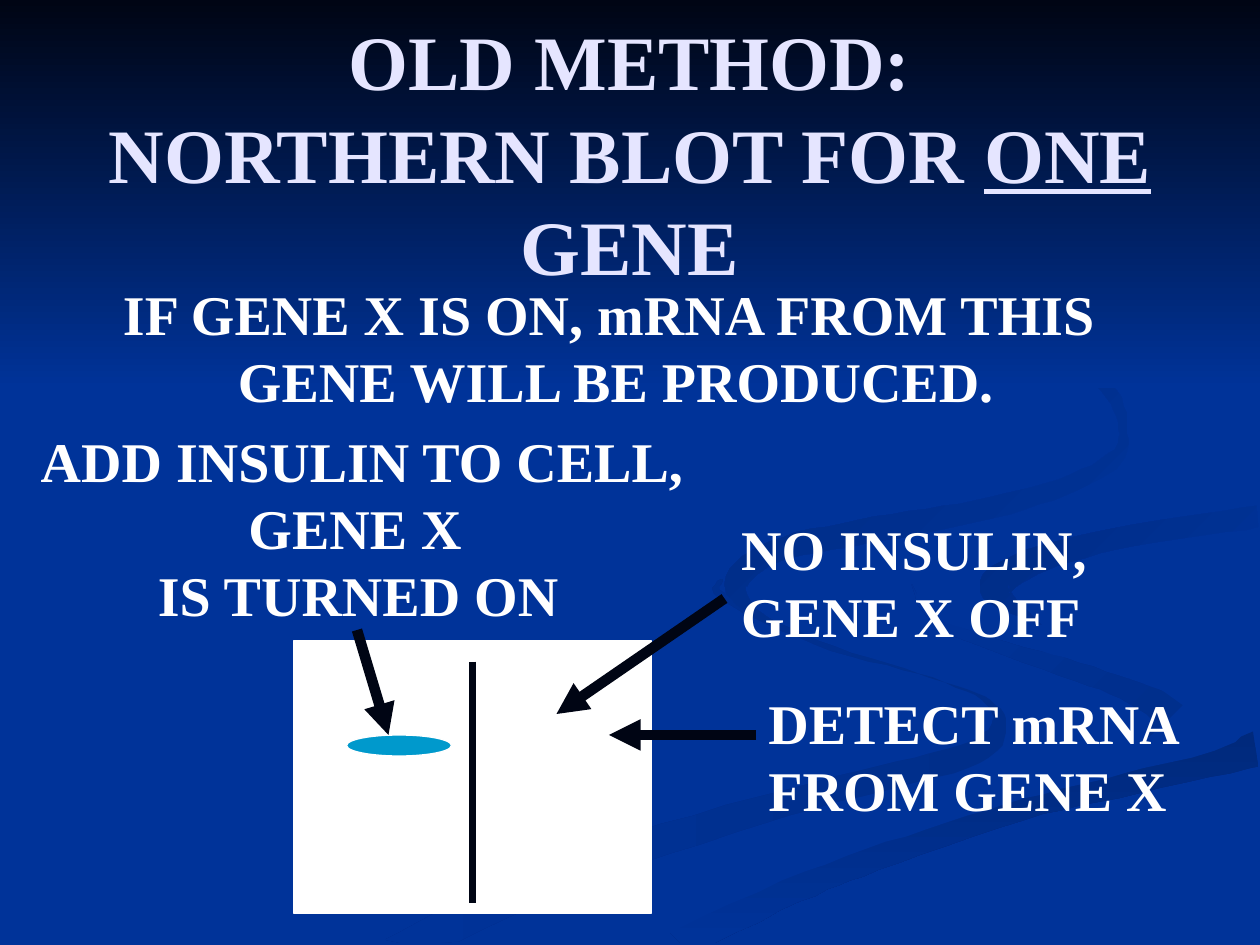
from dataclasses import dataclass
from math import hypot

from lxml.etree import SubElement
from pptx import Presentation
from pptx.dml.color import RGBColor
from pptx.enum.shapes import MSO_CONNECTOR, MSO_SHAPE
from pptx.enum.text import MSO_ANCHOR, MSO_AUTO_SIZE, PP_ALIGN
from pptx.oxml.ns import qn
from pptx.util import Pt

PAGE_WIDTH, PAGE_HEIGHT = 720, 540
STEPS_PER_KNOT = 6


@dataclass(frozen=True)
class Theme:
    font: str = "Times New Roman"
    title_size: int = 44
    body_size: int = 32
    small_size: int = 18
    leading: float = 1.2
    background: str = "003399"
    dark: str = "000514"
    title: str = "E5E5FF"
    white: str = "FFFFFF"
    band: str = "0099CC"
    swoosh_left: str = "002E8A"
    swoosh_bottom: str = "00297C"
    swoosh_right: str = "002C85"
    swoosh_top: str = "002B81"


def spline(before, start, end, after, t):
    return 0.5 * (2 * start + (end - before) * t
                  + (2 * before - 5 * start + 4 * end - after) * t ** 2
                  + (3 * start - before - 3 * end + after) * t ** 3)


def smooth(knots):
    padded = [knots[0], *knots, knots[-1]]
    samples = [
        tuple(spline(*values, step / STEPS_PER_KNOT) for values in zip(*padded[i:i + 4]))
        for i in range(len(knots) - 1)
        for step in range(STEPS_PER_KNOT)]
    return samples + [knots[-1]]


def ribbon_outline(knots):
    samples = smooth(knots)
    last = len(samples) - 1
    edges = [], []
    for i, (x, y, width) in enumerate(samples):
        back, ahead = samples[max(i - 1, 0)], samples[min(i + 1, last)]
        run, rise = ahead[0] - back[0], ahead[1] - back[1]
        half = max(width, 0) / 2 / hypot(run, rise)
        for edge, side in zip(edges, (half, -half)):
            edge.append((min(x - rise * side, PAGE_WIDTH - 1),
                         min(y + run * side, PAGE_HEIGHT - 1)))
    return edges[0] + edges[1][::-1]


class SlideBuilder:
    def __init__(self, page, theme):
        self.page = page
        self.theme = theme
        page.background.fill.solid()
        page.background.fill.fore_color.rgb = RGBColor.from_string(theme.background)

    def style(self, paragraph, size, color, align):
        paragraph.alignment = align
        paragraph.line_spacing = Pt(round(size * self.theme.leading, 1))
        font = paragraph.font
        font.name = self.theme.font
        font.size = Pt(size)
        font.bold = True
        font.color.rgb = RGBColor.from_string(color)

    def paint(self, shape, colors, angle=0, outlined=False):
        shape.shadow.inherit = False
        if len(colors) == 1:
            shape.fill.solid()
            shape.fill.fore_color.rgb = RGBColor.from_string(colors[0])
        else:
            shape.fill.gradient()
            shape.fill.gradient_angle = angle
            for stop, color in zip(shape.fill.gradient_stops, colors):
                stop.color.rgb = RGBColor.from_string(color)
        if outlined:
            shape.line.color.rgb = RGBColor.from_string(self.theme.white)
            shape.line.width = Pt(0.75)
        else:
            shape.line.fill.background()

    def shape(self, kind, left, top, width, height, colors, angle=0, outlined=False):
        shape = self.page.shapes.add_shape(kind, Pt(left), Pt(top), Pt(width), Pt(height))
        self.paint(shape, colors, angle, outlined)

    def swoosh(self, knots, colors, angle=0):
        first, *others = ribbon_outline(knots)
        builder = self.page.shapes.build_freeform(*first, scale=Pt(1))
        builder.add_line_segments(others, close=True)
        self.paint(builder.convert_to_shape(), colors, angle)

    def title(self, left, top, width, height, lines):
        title = self.page.shapes.title
        title.left, title.top = Pt(left), Pt(top)
        title.width, title.height = Pt(width), Pt(height)
        title.element.getparent().append(title.element)
        frame = title.text_frame
        frame.auto_size = MSO_AUTO_SIZE.NONE
        frame.vertical_anchor = MSO_ANCHOR.MIDDLE
        para = frame.paragraphs[0]
        for number, line in enumerate(lines):
            if number:
                para.add_line_break()
            for text, underlined in line:
                span = para.add_run()
                span.text = text
                if underlined:
                    span.font.underline = True
        self.style(para, self.theme.title_size, self.theme.title, PP_ALIGN.CENTER)

    def label(self, left, top, width, height, lines, align=PP_ALIGN.LEFT, wrap=False):
        box = self.page.shapes.add_textbox(Pt(left), Pt(top), Pt(width), Pt(height))
        frame = box.text_frame
        frame.word_wrap = wrap
        frame.auto_size = MSO_AUTO_SIZE.SHAPE_TO_FIT_TEXT
        frame.text = "\n".join(lines)
        for para in frame.paragraphs:
            self.style(para, self.theme.body_size, self.theme.white, align)
        return frame

    def line(self, start, end, width, arrow=False):
        line = self.page.shapes.add_connector(
            MSO_CONNECTOR.STRAIGHT, *(Pt(value) for value in start + end))
        line.line.color.rgb = RGBColor.from_string(self.theme.dark)
        line.line.width = Pt(width)
        properties = line.element.spPr
        if arrow:
            SubElement(properties.find(qn("a:ln")), qn("a:tailEnd"), type="triangle")
        SubElement(properties, qn("a:effectLst"))


def draw_backdrop(slide):
    theme = slide.theme
    base = theme.background
    left = [(413, 331, 1), (413, 341, 4), (466, 367, 3), (525, 385, 1), (562, 399, 2),
            (571, 414, 9), (557, 430, 14), (503, 445, 14), (417, 468, 16),
            (303, 507, 21), (225, 546, 20)]
    middle = [(521, 334, 0), (538, 357, 5), (607, 381, 10), (648, 396, 13),
              (669, 412, 19), (644, 436, 0)]
    bottom = [(719, 428, 20), (650, 446, 15), (582, 463, 12), (500, 490, 15),
              (454, 508, 16), (385, 540, 20)]
    plain = [(719, 284, 10), (600, 304, 11), (555, 320, 25), (543, 335, 40),
             (565, 352, 22), (612, 369, 15), (665, 385, 18), (698, 405, 40),
             (640, 438, 9), (585, 451, 11), (515, 470, 16), (445, 498, 12),
             (358, 539, 10)]
    right = [(719, 295, 13), (647, 306, 12), (596, 319, 14), (571, 332, 18),
             (572, 341, 13), (595, 357, 0)]
    top = [(549, 168, 0), (607, 201, 4), (635, 225, 7), (642, 248, 5), (635, 264, 9),
           (600, 281, 10), (549, 294, 13), (492, 304, 14), (443, 315, 13),
           (421, 332, 13), (428, 347, 6), (448, 360, 0)]
    slide.swoosh(left, (theme.swoosh_left, base), 180)
    slide.swoosh(middle, (theme.swoosh_left, base), 135)
    slide.swoosh(bottom, (theme.swoosh_bottom, base), 270)
    slide.swoosh(plain, (base,))
    slide.swoosh(right, (base, theme.swoosh_right), 135)
    slide.swoosh(top, (base, theme.swoosh_top), 135)
    slide.shape(MSO_SHAPE.RECTANGLE, 0, 0, PAGE_WIDTH, 222, (theme.dark, base), 270)


def draw_blot(slide):
    theme = slide.theme
    left, top, width, height = 168, 366, 204, 156
    divider = left + width / 2
    band_top = 420
    slide.shape(MSO_SHAPE.RECTANGLE, left, top, width, height, (theme.white,), outlined=True)
    slide.shape(MSO_SHAPE.OVAL, left + 30, band_top, 60, 12, (theme.band,), outlined=True)
    slide.line((divider, top + 12), (divider, top + height - 6), 4.5)
    for start, end in (
        ((204, 360), (222, band_top)),
        ((414, 342), (318, 408)),
        ((432, band_top), (348, band_top)),
    ):
        slide.line(start, end, 6, arrow=True)


def draw_labels(slide):
    two_lines, three_lines = 84, 122
    slide.label(51.5, 156, 601, two_lines, [
        "IF GENE X IS ON, mRNA FROM THIS ", "GENE WILL BE PRODUCED."], PP_ALIGN.CENTER)
    insulin = slide.label(-24, 240, 462, three_lines, [
        "ADD INSULIN TO CELL, GENE X ", "IS TURNED ON"], PP_ALIGN.CENTER, wrap=True)
    span = insulin.paragraphs[-1].add_run()
    span.text = " "
    span.font.size = Pt(slide.theme.small_size)
    span.font.bold = False
    slide.label(416.5, 290.5, 230, two_lines, ["NO INSULIN,", "GENE X OFF"])
    slide.label(432, 390, 264, two_lines, ["DETECT mRNA", "FROM GENE X"])


def main():
    deck = Presentation()
    deck.slide_width, deck.slide_height = Pt(PAGE_WIDTH), Pt(PAGE_HEIGHT)
    slide = SlideBuilder(deck.slides.add_slide(deck.slide_layouts[5]), Theme())
    draw_backdrop(slide)
    slide.title(0, 42, PAGE_WIDTH, 90, [
        [("OLD METHOD:", False)],
        [("NORTHERN BLOT FOR ", False), ("ONE", True), (" GENE", False)]])
    draw_blot(slide)
    draw_labels(slide)
    deck.save("out.pptx")


if __name__ == "__main__":
    main()
